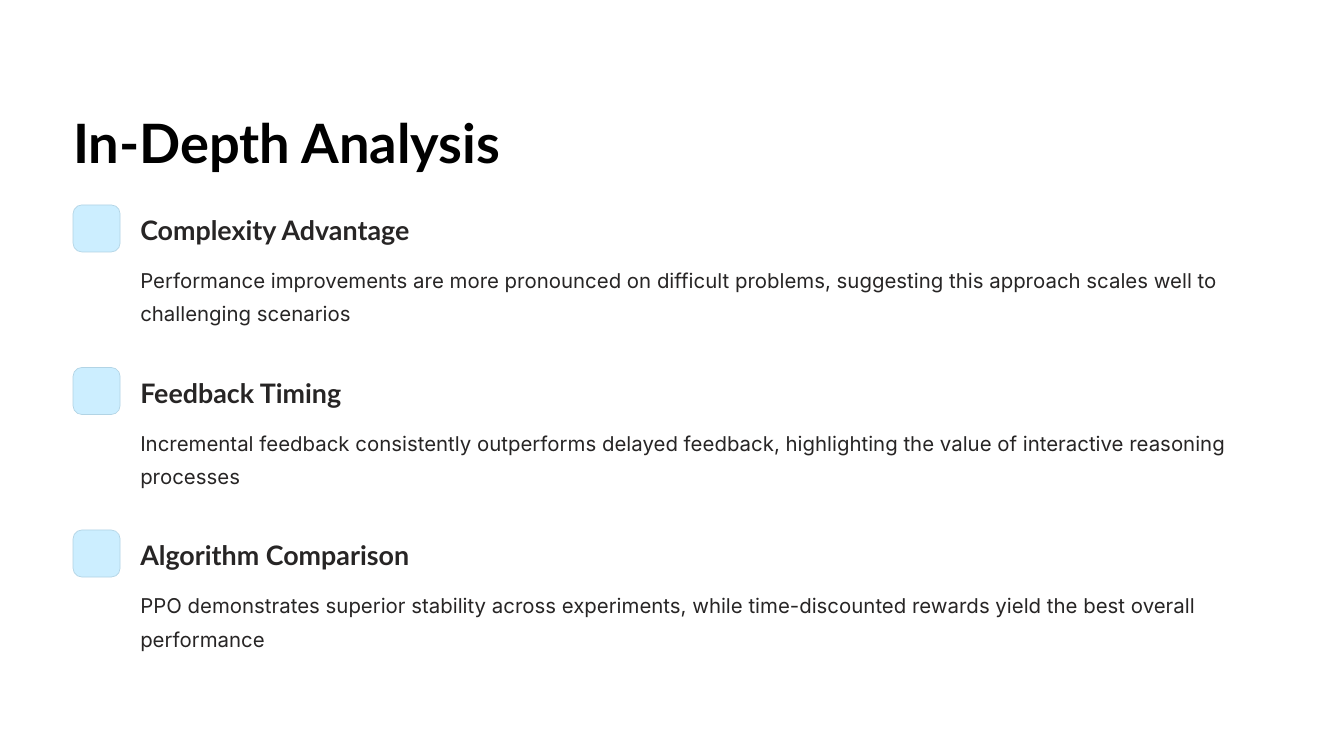
from dataclasses import dataclass

from pptx import Presentation
from pptx.dml.color import RGBColor
from pptx.enum.shapes import MSO_SHAPE
from pptx.enum.text import MSO_ANCHOR, MSO_AUTO_SIZE, PP_ALIGN
from pptx.util import Inches, Pt

TITLE = "In-Depth Analysis"
POINTS = [
    ("Complexity Advantage",
     "Performance improvements are more pronounced on difficult problems, "
     "suggesting this approach scales well to challenging scenarios"),
    ("Feedback Timing",
     "Incremental feedback consistently outperforms delayed feedback, "
     "highlighting the value of interactive reasoning processes"),
    ("Algorithm Comparison",
     "PPO demonstrates superior stability across experiments, "
     "while time-discounted rewards yield the best overall performance"),
]


@dataclass(frozen=True)
class Theme:
    black: str = "000000"
    ink: str = "272525"
    tile: str = "CCEEFF"
    edge: str = "B2D4E5"
    head: str = "Lato"
    body: str = "Inter"
    title_size: float = 46.5
    head_size: float = 23
    body_size: float = 17.5


THEME = Theme()
WIDE, HIGH = 16, 9
LEFT = 0.87              # left margin, also the right one
TILE = 0.56              # side of a square marker
TEXT = LEFT + TILE + 0.24
SPAN = WIDE - LEFT - TEXT
TOP, STEP = 2.44, 1.935  # first row and row pitch
HEAD_DROP, BODY_DROP = 0.085, 0.65


def box(*sides):
    return [Inches(side) for side in sides]


def write(shape, text, font, size, color, line, bold=False, wrap=True):
    frame = shape.text_frame
    frame.margin_left = frame.margin_right = 0
    frame.margin_top = frame.margin_bottom = 0
    frame.auto_size = MSO_AUTO_SIZE.NONE
    frame.vertical_anchor = MSO_ANCHOR.TOP
    frame.word_wrap = wrap
    para = frame.paragraphs[0]
    para.alignment = PP_ALIGN.LEFT
    para.line_spacing = Pt(line)
    para.space_before = Pt(0)
    run = para.add_run()
    run.text = text
    run.font.name = font
    run.font.size = Pt(size)
    run.font.bold = bold
    run.font.color.rgb = RGBColor.from_string(color)


def mark(shapes, top):
    """Draw the rounded square that opens a row."""
    tile = shapes.add_shape(MSO_SHAPE.ROUNDED_RECTANGLE,
                            *box(LEFT, top, TILE, TILE))
    tile.adjustments[0] = 0.187
    tile.shadow.inherit = False
    tile.fill.solid()
    tile.fill.fore_color.rgb = RGBColor.from_string(THEME.tile)
    tile.line.color.rgb = RGBColor.from_string(THEME.edge)
    tile.line.width = Pt(0.6)


def main():
    deck = Presentation()
    deck.slide_width, deck.slide_height = box(WIDE, HIGH)
    slide = deck.slides.add_slide(deck.slide_layouts.get_by_name("Title Only"))
    shapes = slide.shapes

    title = shapes.title
    title.left, title.top, title.width, title.height = box(LEFT, 1.26, 6.51, 0.81)
    write(title, TITLE, THEME.head, THEME.title_size, THEME.black, 58.5,
          bold=True, wrap=False)

    for row, (head, body) in enumerate(POINTS):
        top = TOP + row * STEP
        mark(shapes, top)
        label = shapes.add_textbox(*box(TEXT, top + HEAD_DROP, 3.4, 0.41))
        write(label, head, THEME.head, THEME.head_size, THEME.ink, 29,
              bold=True, wrap=False)
        note = shapes.add_textbox(*box(TEXT, top + BODY_DROP, SPAN, 0.79))
        write(note, body, THEME.body, THEME.body_size, THEME.ink, 28.5)

    deck.save("out.pptx")


if __name__ == "__main__":
    main()
